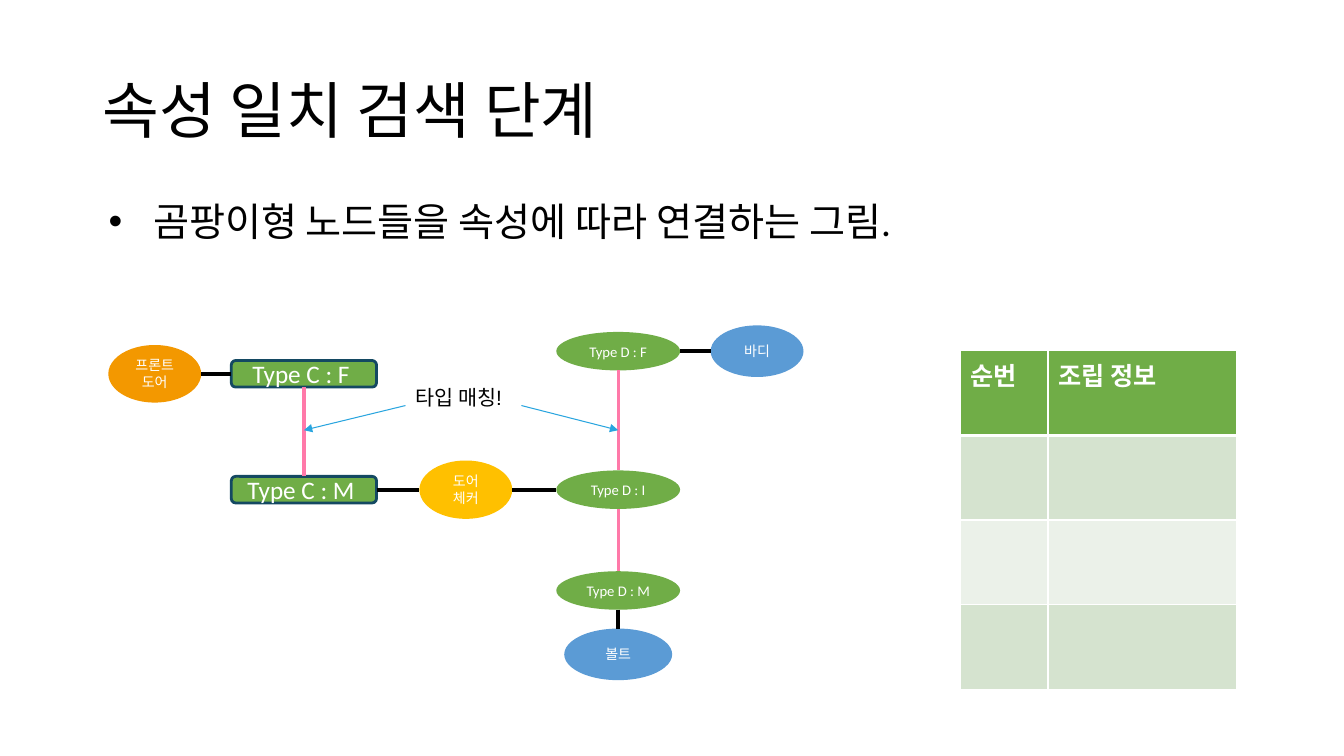
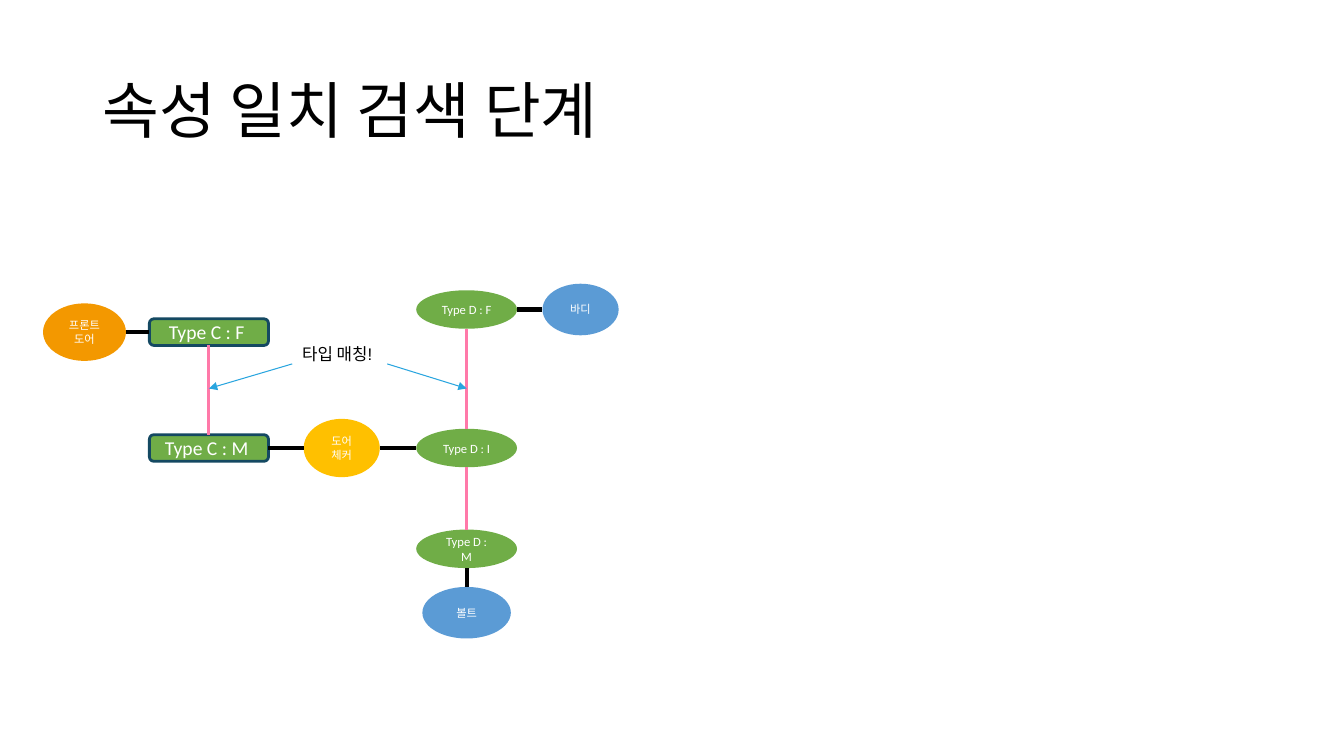
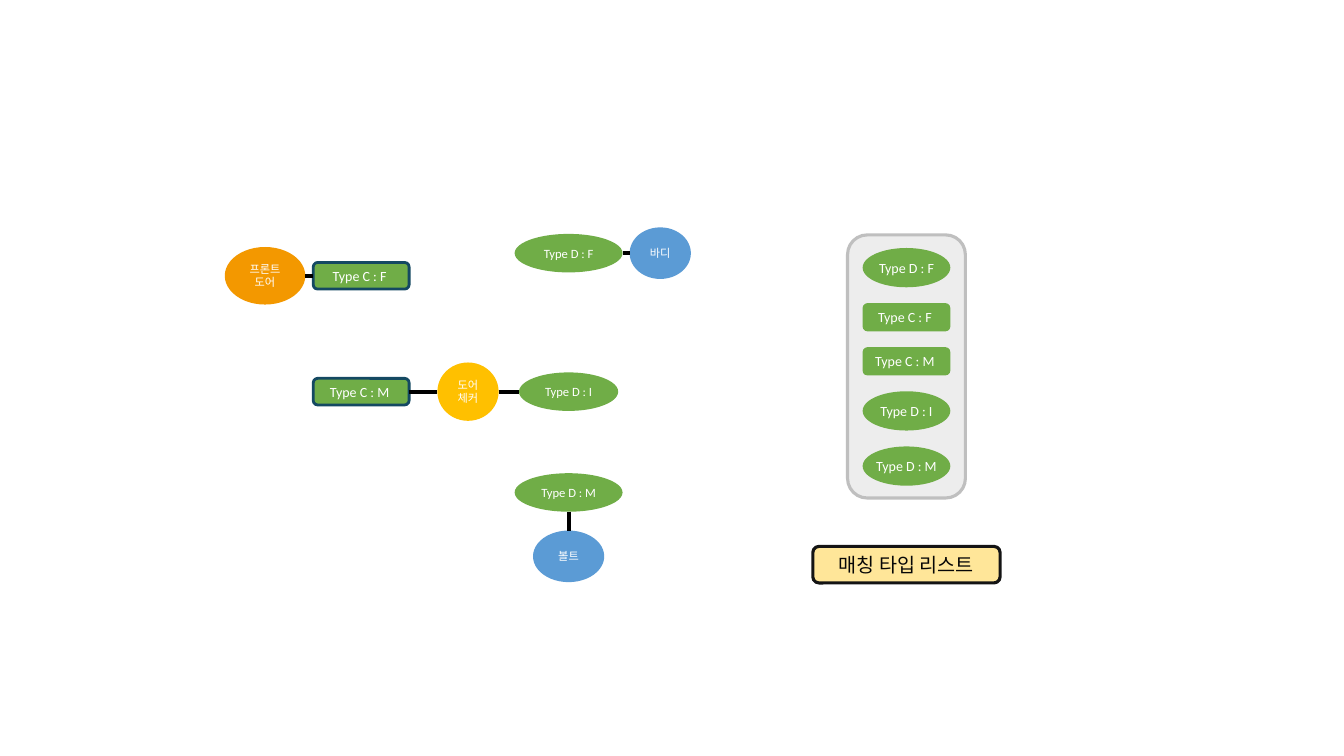
from lxml import etree
from pptx import Presentation
from pptx.dml.color import RGBColor
from pptx.enum import shapes, text
from pptx.oxml import ns
from pptx.util import Cm, Pt

# Colours
BLACK = RGBColor(0x00, 0x00, 0x00)
WHITE = RGBColor(0xFF, 0xFF, 0xFF)
GREEN = RGBColor(0x70, 0xAD, 0x47)
NAVY = RGBColor(0x14, 0x49, 0x62)
ORANGE = RGBColor(0xF3, 0x98, 0x00)
AMBER = RGBColor(0xFF, 0xC0, 0x00)
BLUE = RGBColor(0x5B, 0x9B, 0xD5)
PINK = RGBColor(0xFF, 0x79, 0xA9)
CYAN = RGBColor(0x29, 0xA5, 0xDF)
BAND = RGBColor(0xD5, 0xE3, 0xCF)
PALE = RGBColor(0xEB, 0xF1, 0xE9)
PANEL = RGBColor(0xED, 0xED, 0xED)
GREY = RGBColor(0xBF, 0xBF, 0xBF)
CREAM = RGBColor(0xFF, 0xE6, 0x99)
INK = RGBColor(0x14, 0x14, 0x14)
DARK = RGBColor(0x06, 0x06, 0x06)

OVAL = shapes.MSO_SHAPE.OVAL
ROUND = shapes.MSO_SHAPE.ROUNDED_RECTANGLE
MIDDLE = text.MSO_ANCHOR.MIDDLE
CENTER = text.PP_ALIGN.CENTER

# Graph sizes: hub is the x of the type D column, scale squeezes the widths,
# door gives the x offset and width of the front door.
WIDE = dict(hub=15.58, top=8.2, scale=1, door=(-11.68, 2.34), oval=3.12,
            mid=3.12, part=10, plug=18, type=10.5, note=14.8)
SLIM = dict(hub=11.76, top=7.15, scale=0.82, door=(-9.63, 2.09), oval=2.54,
            mid=2.54, part=8, plug=14, type=9, note=12)
APART = dict(hub=14.33, top=5.73, scale=0.66, door=(-7.65, 2.03), oval=2.72,
             mid=2.5, part=8, plug=10, type=9, note=None)


def apply(item, values):
    for name, value in values.items():
        setattr(item, name, value)


def write(frame, words, size, color, para=None, face="Calibri", bold=False):
    """Put one paragraph for each line of words."""
    for i, line in enumerate(words.split("\n")):
        p = frame.paragraphs[0] if i == 0 else frame.add_paragraph()
        apply(p, para or {})
        run = p.add_run()
        run.text = line
        apply(run.font, dict(size=Pt(size), name=face, bold=bold))
        run.font.color.rgb = color


def block(slide, kind, box, fill, edge=None, words="", size=10,
          color=WHITE, inset=None):
    item = slide.shapes.add_shape(kind, *map(Cm, box))
    item.shadow.inherit = False
    item.fill.solid()
    item.fill.fore_color.rgb = fill
    if edge:
        item.line.color.rgb, item.line.width = edge[0], Pt(edge[1])
    else:
        item.line.fill.background()
    frame = item.text_frame
    apply(frame, dict(word_wrap=True, vertical_anchor=MIDDLE))
    if inset is not None:
        sides = ("left", "right", "top", "bottom")
        apply(frame, {f"margin_{side}": Cm(inset) for side in sides})
    if words:
        write(frame, words, size, color, dict(alignment=CENTER))
    return item


def label(slide, box, words, size, para, face="Calibri", anchor=None):
    frame = slide.shapes.add_textbox(*map(Cm, box)).text_frame
    apply(frame, dict(word_wrap=True, vertical_anchor=anchor))
    write(frame, words, size, BLACK, para, face)
    return frame


def wire(slide, start, end, color, width, arrow=False):
    line = slide.shapes.add_connector(
        shapes.MSO_CONNECTOR.STRAIGHT, *map(Cm, start + end))
    line.line.color.rgb, line.line.width = color, Pt(width)
    props = line._element.spPr
    if arrow:
        etree.SubElement(props.find(ns.qn("a:ln")), ns.qn("a:tailEnd"),
                         type="triangle")
    etree.SubElement(props, ns.qn("a:effectLst"))


def title(slide):
    label(slide, (2.34, 1.02, 29.21, 3.68), "속성 일치 검색 단계", 44,
          dict(line_spacing=0.9), anchor=MIDDLE)


def bullet(slide, box, words):
    frame = label(slide, box, words, 28, dict(line_spacing=0.8))
    props = frame.paragraphs[0]._p.get_or_add_pPr()
    props.set("marL", str(Cm(1.27)))
    props.set("indent", str(Cm(-1.12)))
    etree.SubElement(props, ns.qn("a:buFont"), typeface="Arial")
    etree.SubElement(props, ns.qn("a:buChar"), char="•")


def border(cell, side, width):
    line = etree.SubElement(cell._tc.get_or_add_tcPr(), ns.qn(f"a:ln{side}"),
                            w=str(Pt(width)))
    fill = etree.SubElement(line, ns.qn("a:solidFill"))
    etree.SubElement(fill, ns.qn("a:srgbClr"), val=str(WHITE))


def table(slide, box, heads, widths, fills):
    grid = slide.shapes.add_table(len(fills), len(heads),
                                  *map(Cm, box)).table
    for col, width in zip(grid.columns, widths):
        col.width = Cm(width)
    for r, fill in enumerate(fills):
        for c, head in enumerate(heads):
            cell = grid.cell(r, c)
            for side in "LRTB":
                heavy = (r, side) in ((0, "B"), (1, "T"))
                border(cell, side, 3 if heavy else 1)
            cell.fill.solid()
            cell.fill.fore_color.rgb = fill
            if r == 0:
                write(cell.text_frame, head, 18, WHITE, bold=True)


def graph(slide, look):
    """Draw the part graph; a look with a note also joins matching types."""
    hub, top, scale = look["hub"], look["top"], look["scale"]
    plug_x, check_x = -7.92 * scale, -3.84 * scale
    edge = (NAVY, 2)
    door_x, door_w = look["door"]
    # name: words, kind, fill, edge, size, x and y of centre, width, height
    nodes = {
        "door": ("프론트 도어", OVAL, ORANGE, None, "part",
                 door_x, 1.22, door_w, 1.45),
        "check": ("도어\n체커", OVAL, AMBER, None, "part",
                  check_x, 4.14, 2.34 * scale, 1.47),
        "body": ("바디", OVAL, BLUE, None, "part",
                 3.5 * scale, 0.65, 2.34 * scale, 1.3),
        "bolt": ("볼트", OVAL, BLUE, None, "part",
                 0, 8.29, 2.72 * scale, 1.3),
        "CF": ("Type C : F ", ROUND, GREEN, edge, "plug",
               plug_x, 1.22, 3.66 * scale, 0.67),
        "CM": ("Type C : M ", ROUND, GREEN, edge, "plug",
               plug_x, 4.14, 3.66 * scale, 0.67),
        "DF": ("Type D : F", OVAL, GREEN, None, "type",
               0, 0.65, look["oval"], 0.97),
        "DI": ("Type D : I", OVAL, GREEN, None, "type",
               0, 4.14, look["mid"], 0.97),
        "DM": ("Type D : M", OVAL, GREEN, None, "type",
               0, 6.68, look["oval"], 0.97),
    }
    spots = {}
    for name, (words, kind, fill, rim, size, x, y, w, h) in nodes.items():
        x, y = hub + x, top + y
        spots[name] = x, y, w / 2, h / 2
        block(slide, kind, (x - w / 2, y - h / 2, w, h), fill, rim,
              words, look[size])

    def across(a, b):
        ax, ay, aw, _ = spots[a]
        bx, by, bw, _ = spots[b]
        wire(slide, (ax + aw, ay), (bx - bw, by), BLACK, 3)

    def down(a, b, color, width):
        ax, ay, _, ah = spots[a]
        bx, by, _, bh = spots[b]
        wire(slide, (ax, ay + ah), (bx, by - bh), color, width)

    for pair in (("door", "CF"), ("CM", "check"), ("check", "DI"),
                 ("DF", "body")):
        across(*pair)
    down("DM", "bolt", BLACK, 3)

    # Type matches with their note
    if look["note"]:
        for pair in (("CF", "CM"), ("DF", "DI"), ("DI", "DM")):
            down(*pair, PINK, 2.25)
        wide, mid = 2.92 * scale, hub - 3.9 * scale
        label(slide, (mid - wide / 2, top + 1.45, wide, 1.17), "타입 매칭!",
              look["note"], dict(line_spacing=0.9), "Arial")
        for start, end in ((mid - wide / 2, hub + plug_x),
                           (mid + wide / 2, hub)):
            wire(slide, (start, top + 2.02), (end, top + 2.64),
                 CYAN, 0.75, True)


def types(slide, left, top, wide):
    """List the matching types in a panel with a caption below."""
    block(slide, ROUND, (left, top, wide, 6.63), PANEL, (GREY, 2.25))
    item, y = 2.21, top + 0.33
    for words, kind, high in (("Type D : F", OVAL, 0.99),
                              ("Type C : F ", ROUND, 0.71),
                              ("Type C : M ", ROUND, 0.71),
                              ("Type D : I", OVAL, 0.99),
                              ("Type D : M", OVAL, 0.99)):
        block(slide, kind, (left + (wide - item) / 2, y, item, high), GREEN,
              words=words, inset=0)
        y += high + 0.4
    cap = 4.72
    block(slide, ROUND, (left + (wide - cap) / 2, top + 7.85, cap, 0.92),
          CREAM, (INK, 2.25), "매칭 타입 리스트", 14, DARK)


def main():
    deck = Presentation()
    apply(deck, dict(slide_width=Cm(33.87), slide_height=Cm(19.05)))
    first, second, third = (deck.slides.add_slide(deck.slide_layouts[6])
                            for _ in range(3))
    # Graph with table
    title(first)
    bullet(first, (2.34, 5.08, 29.21, 1.6),
           "곰팡이형 노드들을 속성에 따라 연결하는 그림.")
    table(first, (24.21, 8.84, 6.95, 8.53), ("순번", "조립 정보"),
          (2.2, 4.75), (GREEN, BAND, PALE, BAND))
    graph(first, WIDE)
    # Graph alone
    title(second)
    graph(second, SLIM)
    # Loose parts and type list
    graph(third, APART)
    types(third, 21.36, 5.92, 2.97)
    deck.save("out.pptx")


if __name__ == "__main__":
    main()
